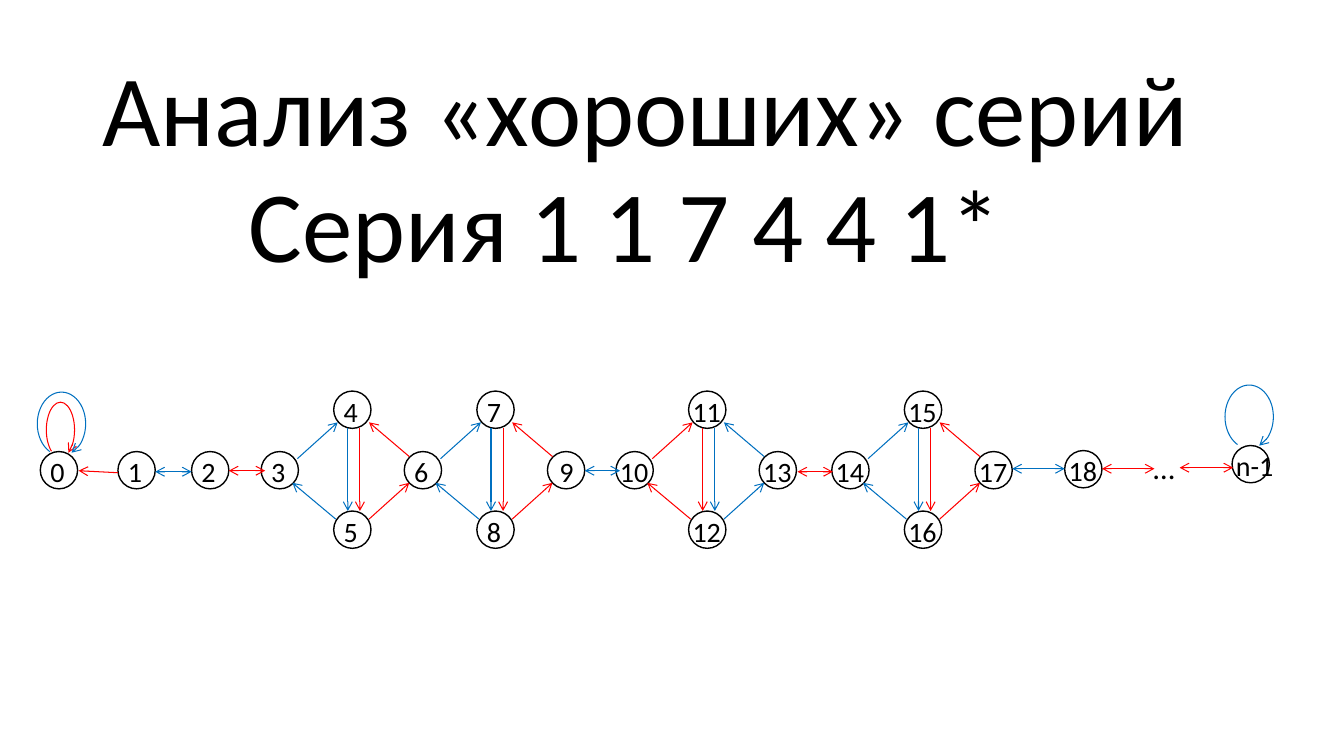
from pptx import Presentation
from pptx.dml.color import RGBColor
from pptx.enum.shapes import MSO_CONNECTOR, MSO_SHAPE
from pptx.enum.text import MSO_ANCHOR
from pptx.oxml.xmlchemy import OxmlElement
from pptx.util import Inches, Pt

BLACK, WHITE, RED, BLUE = "000000", "FFFFFF", "FF0000", "0070C0"
UPPER, MIDDLE, LOWER = 3.88, 4.48, 5.07
NODE = 0.37
HALF, FULL = 0.72, 1.42
DIAMONDS = [
    (2.59, (3, 4, 5, 6), BLUE, RED),
    (4.01, (6, 7, 8, 9), BLUE, RED),
    (6.11, (10, 11, 12, 13), RED, BLUE),
    (8.25, (14, 15, 16, 17), BLUE, RED),
]
SINGLE_NODES = [("0", 0.4, MIDDLE), ("1", 1.17, MIDDLE), ("2", 1.9, MIDDLE),
                ("18", 10.56, 4.47), ("n-1", 12.22, 4.42)]
TWO_WAY_LINKS = [(1.54, 1.9, 4.68, BLUE), (2.27, 2.63, 4.67, RED),
                 (5.8, 6.15, 4.67, BLUE), (7.91, 8.26, 4.68, RED),
                 (10.04, 10.56, 4.65, BLUE), (10.93, 11.45, 4.65, RED),
                 (11.7, 12.23, 4.64, RED)]
LOOPS = [(0.46, 3.99, 0.28, 0.55, RED), (0.37, 3.89, 0.48, 0.63, BLUE),
         (12.15, 3.82, 0.48, 0.63, BLUE)]


def color(value):
    """Turn a hex string into a colour."""
    return RGBColor.from_string(value)


def add_text(shapes, text, left, top, width, height, size=20, anchor=MSO_ANCHOR.TOP,
             spacing=1.07, before=0, after=8, inset=None, wrap=True):
    """Add a text box with one formatted paragraph."""
    box = shapes.add_textbox(*map(Inches, (left, top, width, height)))
    frame = box.text_frame
    frame.word_wrap = wrap
    frame.vertical_anchor = anchor
    if inset is not None:
        frame.margin_left = frame.margin_right = Inches(inset)
        frame.margin_top = frame.margin_bottom = Inches(inset)
    para = frame.paragraphs[0]
    para.line_spacing = spacing
    para.space_before, para.space_after = Pt(before), Pt(after)
    span = para.add_run()
    span.text = text
    span.font.name, span.font.size = "Calibri", Pt(size)
    span.font.color.rgb = color(BLACK)


def style_line(shape, hue, width=0.75, ends=()):
    """Set the colour, width and open arrowheads of a line."""
    shape.line.color.rgb = color(hue)
    shape.line.width = Pt(width)
    for end in ends:
        arrowhead = OxmlElement(f"a:{end}")
        arrowhead.set("type", "arrow")
        shape.line._get_or_add_ln().append(arrowhead)


def add_node(shapes, name, left, top, shift=None):
    """Add a numbered circle with its label."""
    circle = shapes.add_shape(MSO_SHAPE.OVAL, *map(Inches, (left, top, NODE, NODE)))
    circle.shadow.inherit = False
    circle.fill.solid()
    circle.fill.fore_color.rgb = color(WHITE)
    style_line(circle, BLACK, width=1)
    if shift is None:
        shift = 0 if len(name) == 1 else -0.06
    add_text(shapes, name, left + shift, top - 0.04, 0.79, 0.52)


def add_arrow(shapes, start, finish, hue, ends=("tailEnd",)):
    """Add a straight arrow between two points."""
    arrow = shapes.add_connector(MSO_CONNECTOR.STRAIGHT, *map(Inches, start + finish))
    style_line(arrow, hue, ends=ends)
    arrow._element.spPr.append(OxmlElement("a:effectLst"))


def add_loop(shapes, left, top, width, height, hue):
    """Add an arc that leads from a node back to itself."""
    arc = shapes.add_shape(MSO_SHAPE.ARC, *map(Inches, (left, top, width, height)))
    arc.adjustments[0], arc.adjustments[1] = 67.694, 42.49
    arc.shadow.inherit = False
    arc.fill.background()
    style_line(arc, hue, ends=("tailEnd",))


def add_diamond(shapes, left, names, near, far):
    """Add four nodes joined by arrows, one colour for each side."""
    places = [(0, MIDDLE), (HALF, UPPER), (HALF, LOWER), (FULL, MIDDLE)]
    for name, (offset, top) in zip(names, places):
        if name != 6 or offset:
            shift = 0.02 if name == 9 else None
            add_node(shapes, str(name), left + offset, top, shift)
    for x1, y1, x2, y2, hue in [
        (0.36, 4.55, 0.76, 4.19, near),
        (0.74, 5.15, 0.31, 4.79, near),
        (0.86, 4.25, 0.86, 5.07, near),
        (0.98, 4.25, 0.98, 5.07, far),
        (1.07, 5.15, 1.47, 4.79, far),
        (1.47, 4.53, 1.07, 4.19, far),
    ]:
        add_arrow(shapes, (left + x1, y1), (left + x2, y2), hue)


def main():
    """Build the slide and save it."""
    deck = Presentation()
    deck.slide_width, deck.slide_height = Inches(13.33), Inches(7.5)
    page = deck.slides.add_slide(deck.slide_layouts[6])
    add_text(page.shapes, "Анализ «хороших» серий", 0.92, 0.4, 11.5, 1.45,
             size=72, anchor=MSO_ANCHOR.MIDDLE, spacing=0.9, after=0)
    add_text(page.shapes, "Серия " + "\u00a0".join("117441") + "*", 2.37, 1.69, 9.18, 1.04,
             size=72, spacing=0.9, before=10, after=0)
    graph = page.shapes.add_group_shape().shapes
    for diamond in DIAMONDS:
        add_diamond(graph, *diamond)
    for node in SINGLE_NODES:
        add_node(graph, *node)
    for loop in LOOPS:
        add_loop(graph, *loop)
    add_arrow(graph, (1.17, 4.69), (0.78, 4.67), RED)
    for start, finish, level, hue in TWO_WAY_LINKS:
        add_arrow(graph, (start, level), (finish, level), hue, ("headEnd", "tailEnd"))
    add_text(graph, "…", 11.44, 4.35, 0.37, 0.54, size=22,
             anchor=MSO_ANCHOR.MIDDLE, inset=0, wrap=False)
    deck.save("out.pptx")


main()
